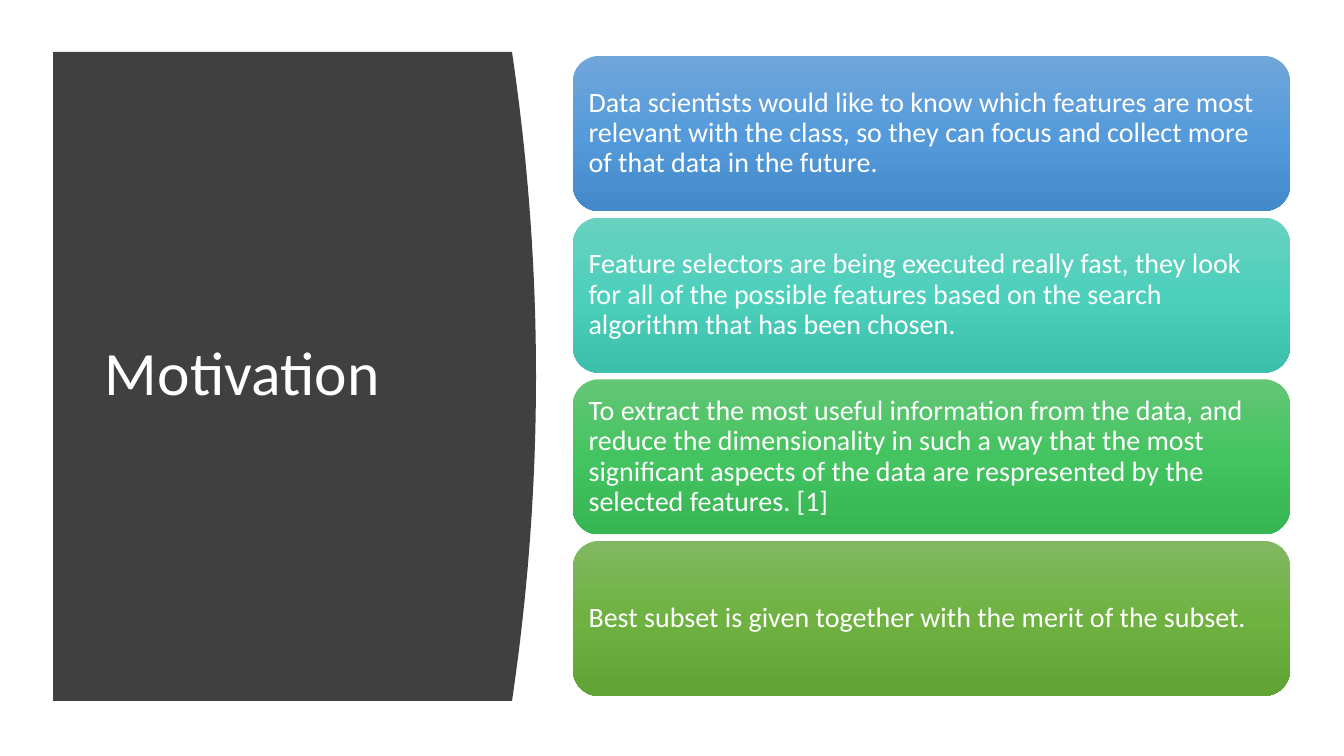
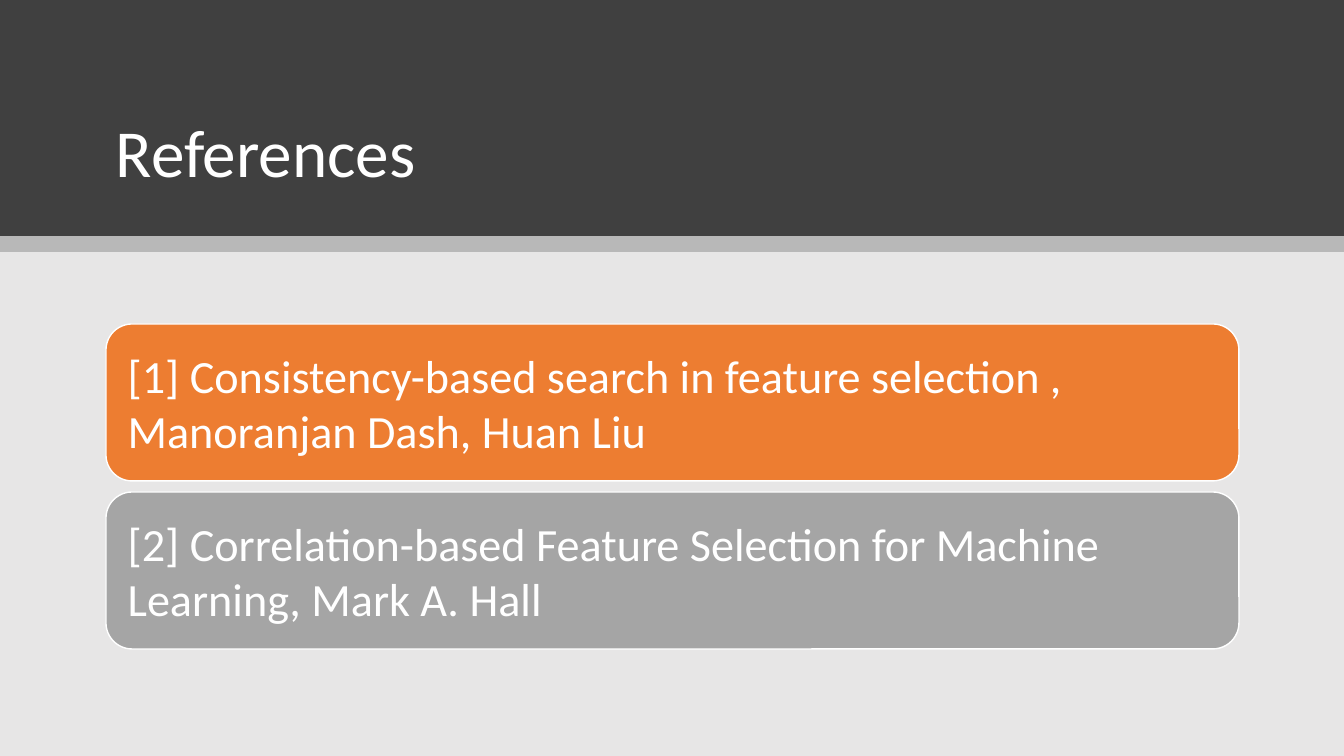
import copy
from dataclasses import dataclass
from typing import Any, Optional

import pptx
import pptx.dml.color
import pptx.dml.fill
import pptx.enum.shapes
import pptx.enum.text
import pptx.oxml
import pptx.oxml.ns
import pptx.shapes.autoshape
import pptx.slide
import pptx.text.text
import pptx.util

EMU_PER_PX = 914400 / 100.8
SLIDE_W, SLIDE_H = 1344, 756

RECT = pptx.enum.shapes.MSO_SHAPE.RECTANGLE
ROUNDED = pptx.enum.shapes.MSO_SHAPE.ROUNDED_RECTANGLE
MIDDLE = pptx.enum.text.MSO_ANCHOR.MIDDLE
BOTTOM = pptx.enum.text.MSO_ANCHOR.BOTTOM


@dataclass(frozen=True)
class Theme:
    font: str = "Calibri"
    text: str = "FFFFFF"
    dark: str = "404040"
    page: str = "E7E6E6"
    strip: str = "000000"
    outline: str = "FFFFFF"
    side_title_pt: int = 44
    top_title_pt: int = 48
    motivation_pt: int = 20
    reference_pt: int = 33
    tight_spacing: float = 0.9


@dataclass(frozen=True)
class Box:
    left: float
    top: float
    width: float
    height: float

    def emu(self) -> tuple[pptx.util.Emu, ...]:
        return tuple(px(v) for v in (self.left, self.top, self.width, self.height))


@dataclass(frozen=True)
class Card:
    text: str
    colors: tuple[str, ...]


@dataclass(frozen=True)
class CardStyle:
    height: int
    inset: int
    size_pt: int
    spacing: Optional[float] = None
    outlined: bool = False


THEME = Theme()

MOTIVATIONS = (
    Card("Data scientists would like to know which features are most relevant with "
         "the class, so they can focus and collect more of that data in the future.",
         ("71A6DB", "559BDB", "448ACA")),
    Card("Feature selectors are being executed really fast, they look for all of the "
         "possible features based on the search algorithm that has been chosen.",
         ("6AD1C0", "4CD0BC", "3CC0AC")),
    Card("To extract the most useful information from the data, and reduce the "
         "dimensionality in such a way that the most significant aspects of the data "
         "are respresented by the selected features. [1]",
         ("64C677", "44C460", "36B552")),
    Card("Best subset is given together with the merit of the subset.",
         ("81B861", "6FB242", "62A336")),
)

REFERENCES = (
    Card("[1] Consistency-based search in feature selection , Manoranjan Dash, Huan Liu",
         ("ED7D31",)),
    Card("[2] Correlation-based Feature Selection for Machine Learning, Mark A. Hall",
         ("A5A5A5",)),
)


def px(value: float) -> pptx.util.Emu:
    return pptx.util.Emu(round(value * EMU_PER_PX))


def rgb(color: str) -> pptx.dml.color.RGBColor:
    return pptx.dml.color.RGBColor.from_string(color)


def apply(target: Any, values: dict[str, Any]) -> None:
    for name, value in values.items():
        setattr(target, name, value)


def write(frame: pptx.text.text.TextFrame, text: str, size_pt: int,
          anchor: pptx.enum.text.MSO_ANCHOR, insets: tuple[int, int],
          spacing: Optional[float]) -> None:
    """Fill a frame with one left-aligned paragraph; insets are (sides, ends)."""
    sides, ends = (px(v) for v in insets)
    apply(frame, {"word_wrap": True, "vertical_anchor": anchor,
                  "margin_left": sides, "margin_right": sides,
                  "margin_top": ends, "margin_bottom": ends})
    paragraph = frame.paragraphs[0]
    apply(paragraph, {"alignment": pptx.enum.text.PP_ALIGN.LEFT,
                      "line_spacing": spacing})
    run = paragraph.add_run()
    run.text = text
    apply(run.font, {"name": THEME.font, "size": pptx.util.Pt(size_pt)})
    run.font.color.rgb = rgb(THEME.text)


def paint(shape: pptx.shapes.autoshape.Shape, colors: tuple[str, ...]) -> None:
    """Fill with one colour, or with evenly spaced stops from top to bottom."""
    shape.shadow.inherit = False
    shape.line.fill.background()
    if len(colors) == 1:
        shape.fill.solid()
        shape.fill.fore_color.rgb = rgb(colors[0])
        return
    shape.fill.gradient()
    shape.fill.gradient_angle = 270
    stop_list = next(shape.element.iter(pptx.oxml.ns.qn("a:gsLst")))
    for _ in colors[2:]:
        stop_list.insert(1, copy.deepcopy(stop_list[0]))
    for index, (stop, color) in enumerate(zip(shape.fill.gradient_stops, colors)):
        stop.color.rgb = rgb(color)
        stop.position = index / (len(colors) - 1)


def add_title(slide: pptx.slide.Slide, text: str, box: Box, size_pt: int,
              anchor: pptx.enum.text.MSO_ANCHOR) -> None:
    title = slide.shapes.add_textbox(*box.emu())
    write(title.text_frame, text, size_pt, anchor, (10, 5), THEME.tight_spacing)


def add_band(slide: pptx.slide.Slide, top: int, height: int,
             color: str) -> pptx.shapes.autoshape.Shape:
    band = slide.shapes.add_shape(RECT, *Box(0, top, SLIDE_W, height).emu())
    paint(band, (color,))
    return band


def set_opacity(shape: pptx.shapes.autoshape.Shape, percent: int) -> None:
    color = next(shape.element.spPr.iter(pptx.oxml.ns.qn("a:srgbClr")))
    namespace = pptx.oxml.ns.nsdecls("a")
    color.append(pptx.oxml.parse_xml(f'<a:alpha {namespace} val="{percent * 1000}"/>'))


def add_cards(slide: pptx.slide.Slide, cards: tuple[Card, ...], area: Box,
              style: CardStyle) -> None:
    """Stack cards at equal gaps from the top to the bottom of the area."""
    pitch = (area.height - style.height) / (len(cards) - 1)
    for index, card in enumerate(cards):
        box = Box(area.left, area.top + index * pitch, area.width, style.height)
        panel = slide.shapes.add_shape(ROUNDED, *box.emu())
        paint(panel, card.colors)
        if style.outlined:
            panel.line.color.rgb = rgb(THEME.outline)
            panel.line.width = pptx.util.Pt(1)
        write(panel.text_frame, card.text, style.size_pt, MIDDLE,
              (style.inset, style.inset), style.spacing)


def add_curved_panel(slide: pptx.slide.Slide, box: Box, bulge: int,
                     steps: int = 48) -> None:
    """Draw a dark panel whose right edge bows outwards as a parabola."""
    edge = []
    for step in range(steps + 1):
        part = step / steps
        reach = box.left + box.width + bulge * 4 * part * (1 - part)
        edge.append((px(reach), px(box.top + box.height * part)))
    outline = slide.shapes.build_freeform(px(box.left), px(box.top))
    outline.add_line_segments(edge + [(px(box.left), px(box.top + box.height))])
    paint(outline.convert_to_shape(), (THEME.dark,))


def build_motivation(slide: pptx.slide.Slide) -> None:
    add_curved_panel(slide, Box(53, 52, 459, 649), bulge=24)
    add_title(slide, "Motivation", Box(95, 112, 377, 528), THEME.side_title_pt, MIDDLE)
    add_cards(slide, MOTIVATIONS, Box(573, 56, 717, 640),
              CardStyle(155, 8, THEME.motivation_pt, THEME.tight_spacing))


def build_references(slide: pptx.slide.Slide) -> None:
    add_band(slide, 0, SLIDE_H, THEME.page)
    add_band(slide, 0, 236, THEME.dark)
    add_title(slide, "References", Box(106, 47, 1133, 150), THEME.top_title_pt, BOTTOM)
    set_opacity(add_band(slide, 236, 16, THEME.strip), 20)
    add_cards(slide, REFERENCES, Box(106, 324, 1133, 325),
              CardStyle(157, 14, THEME.reference_pt, outlined=True))


def main() -> None:
    deck = pptx.Presentation()
    apply(deck, {"slide_width": px(SLIDE_W), "slide_height": px(SLIDE_H)})
    blank = deck.slide_layouts[6]
    for build in (build_motivation, build_references):
        build(deck.slides.add_slide(blank))
    deck.save("out.pptx")


if __name__ == "__main__":
    main()
